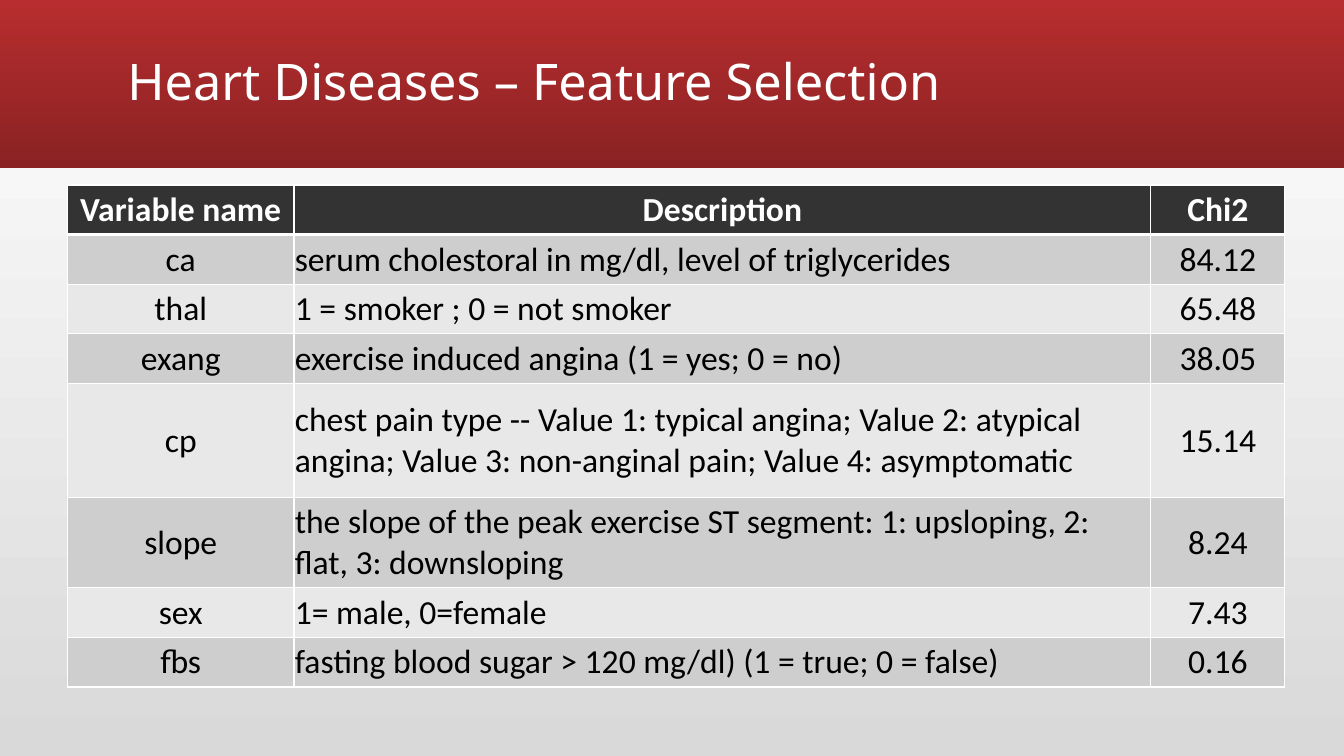
from dataclasses import dataclass

from lxml import etree
from pptx import Presentation
from pptx import util as u
from pptx.dml.color import RGBColor
from pptx.enum import shapes, text
from pptx.oxml.ns import qn


@dataclass
class Theme:
    white: str = "FFFFFF"
    black: str = "000000"
    page_bottom: str = "D9D9D9"
    band_top: str = "B82D2F"
    band_bottom: str = "8A2223"
    header_row: str = "333333"
    odd_row: str = "CECECE"
    even_row: str = "E8E8E8"
    title_font: str = "Noto Sans"
    table_font: str = "Calibri"
    title_size: int = 36
    table_size: int = 24


theme = Theme()


def paint_gradient(fill, angle, *colors):
    fill.gradient()
    fill.gradient_angle = angle
    for stop, color in zip(fill.gradient_stops, colors):
        stop.color.rgb = RGBColor.from_string(color)


def add_span(para, words, font, size, color, bold=False):
    span = para.add_run()
    span.text = words
    span.font.name = font
    span.font.size = u.Pt(size)
    span.font.bold = bold
    span.font.color.rgb = RGBColor.from_string(color)


# Page and background
deck = Presentation()
deck.slide_width, deck.slide_height = u.Cm(33.87), u.Cm(19.05)
page = deck.slides.add_slide(deck.slide_layouts[6])
paint_gradient(page.background.fill, 90, theme.page_bottom, theme.white)

# Title band
band = page.shapes.add_shape(shapes.MSO_SHAPE.RECTANGLE, 0, 0, deck.slide_width, u.Cm(4.23))
band.shadow.inherit = False
band.line.fill.background()
paint_gradient(band.fill, 270, theme.band_top, theme.band_bottom)

# Title
box = page.shapes.add_textbox(u.Cm(2.96), u.Cm(0.28), u.Cm(27.94), u.Cm(3.68))
box.text_frame.word_wrap = True
box.text_frame.vertical_anchor = text.MSO_ANCHOR.MIDDLE
para = box.text_frame.paragraphs[0]
para.line_spacing = 0.9
add_span(para, "Heart Diseases – Feature Selection", theme.title_font, theme.title_size, theme.white)

# Feature table
features = [
    ("Variable name", "Description", "Chi2"),
    ("ca", "serum cholestoral in mg/dl, level of triglycerides", "84.12"),
    ("thal", "1 = smoker ; 0 = not smoker", "65.48"),
    ("exang", "exercise induced angina (1 = yes; 0 = no)", "38.05"),
    ("cp", "chest pain type -- Value 1: typical angina; Value 2: atypical angina; "
           "Value 3: non-anginal pain; Value 4: asymptomatic", "15.14"),
    ("slope", "the slope of the peak exercise ST segment: 1: upsloping, 2: flat, "
              "3: downsloping", "8.24"),
    ("sex", "1= male, 0=female", "7.43"),
    ("fbs", "fasting blood sugar > 120 mg/dl) (1 = true; 0 = false)", "0.16"),
]
widths = [5.71, 21.59, 3.38]
row_height = 1.25
tall_rows = {"cp": 2.87, "slope": 2.28}
heights = [tall_rows.get(name, row_height) for name, *_ in features]

table = page.shapes.add_table(
    len(features), len(widths), u.Cm(1.7), u.Cm(4.66), u.Cm(sum(widths)), u.Cm(sum(heights))
).table
for column, width in zip(table.columns, widths):
    column.width = u.Cm(width)

for r, feature in enumerate(features):
    table.rows[r].height = u.Cm(heights[r])
    is_header = r == 0
    row_fill = theme.header_row if is_header else theme.odd_row if r % 2 else theme.even_row
    for c, words in enumerate(feature):
        cell = table.cell(r, c)
        cell.margin_left = cell.margin_top = cell.margin_right = u.Cm(0.02)
        cell.margin_bottom = 0
        cell.vertical_anchor = text.MSO_ANCHOR.MIDDLE

        # White borders, thicker below the header row
        properties = cell._tc.get_or_add_tcPr()
        for side in "LRTB":
            thick = (r, side) in [(0, "B"), (1, "T")]
            border = etree.SubElement(properties, qn("a:ln" + side), w=str(u.Pt(3 if thick else 1)))
            solid = etree.SubElement(border, qn("a:solidFill"))
            etree.SubElement(solid, qn("a:srgbClr"), val=theme.white)
        cell.fill.solid()
        cell.fill.fore_color.rgb = RGBColor.from_string(row_fill)

        para = cell.text_frame.paragraphs[0]
        left_aligned = c == 1 and not is_header
        para.alignment = text.PP_ALIGN.LEFT if left_aligned else text.PP_ALIGN.CENTER
        add_span(para, words, theme.table_font, theme.table_size,
                 theme.white if is_header else theme.black, bold=is_header)

deck.save("out.pptx")
